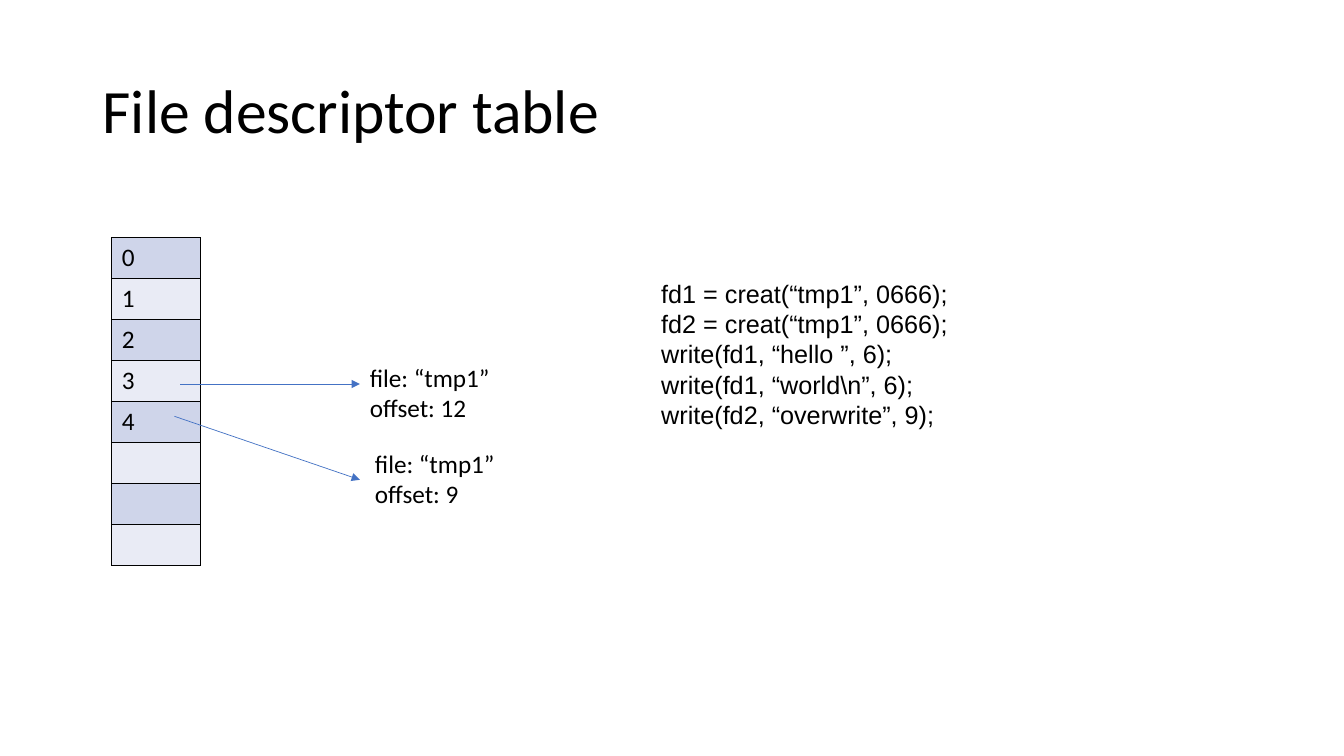
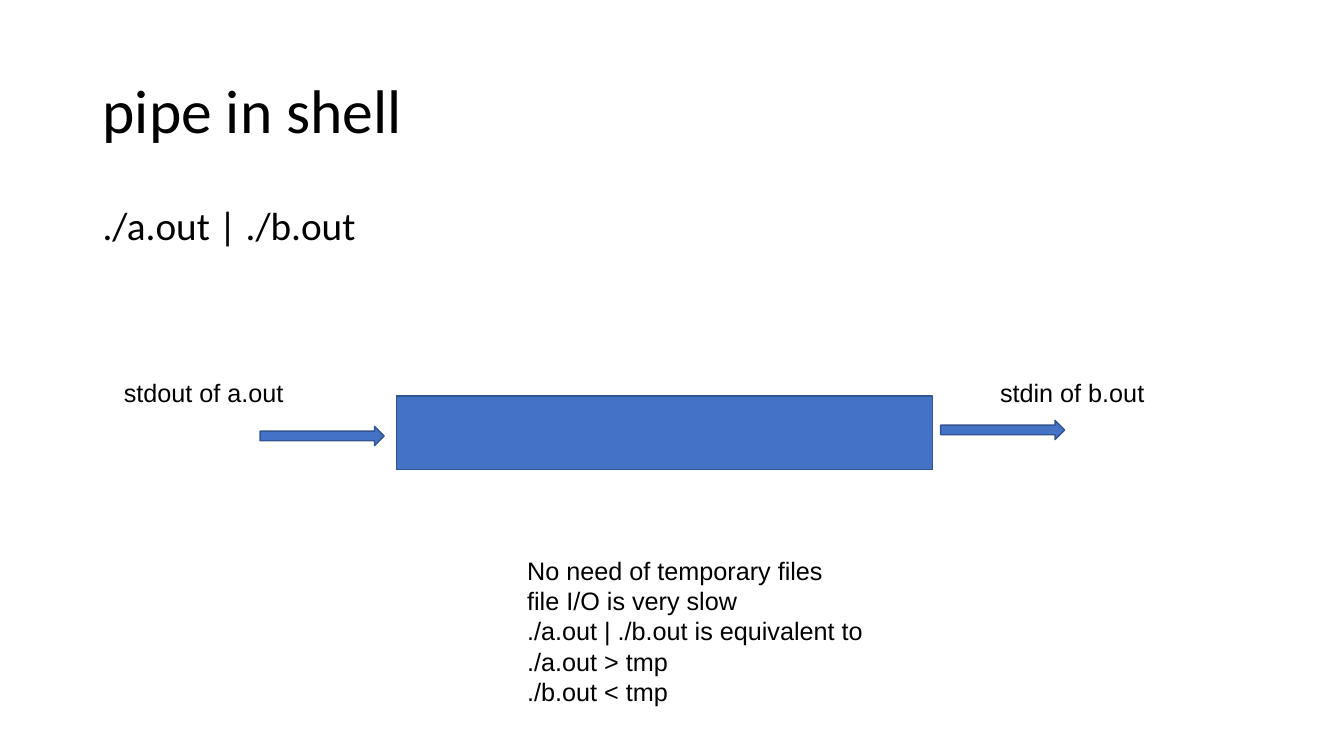
from lxml.etree import SubElement
from pptx import Presentation
from pptx.dml.color import RGBColor
from pptx.enum.shapes import MSO_CONNECTOR as Connector, MSO_SHAPE as Shape
from pptx.enum.text import MSO_ANCHOR as Anchor
from pptx.oxml.ns import qn
from pptx.util import Inches, Pt

BLACK, BLUE, DARK_BLUE = "000000", "4472C4", "325491"
BANDS = ("CFD5EA", "E9EBF5")
BODY_FONT, LABEL_FONT = "Calibri", "Arial"


def color(hex_value):
    return RGBColor.from_string(hex_value)


def add_run(paragraph, text, font=LABEL_FONT, size=18):
    run = paragraph.add_run()
    run.text = text
    run.font.name = font
    run.font.size = Pt(size)
    run.font.color.rgb = color(BLACK)


def add_text(slide, box, lines, font=LABEL_FONT, size=18, anchor=Anchor.TOP, spacing=None):
    frame = slide.shapes.add_textbox(*map(Inches, box)).text_frame
    frame.word_wrap = True
    frame.vertical_anchor = anchor
    for index, line in enumerate(lines):
        paragraph = frame.add_paragraph() if index else frame.paragraphs[0]
        paragraph.line_spacing = spacing
        add_run(paragraph, line, font, size)


def add_titled_slide(presentation, title):
    slide = presentation.slides.add_slide(presentation.slide_layouts[6])
    add_text(slide, (0.92, 0.4, 11.5, 1.45), [title], BODY_FONT, 44, Anchor.MIDDLE, 0.9)
    return slide


def add_cell_borders(cell):
    properties = cell._tc.get_or_add_tcPr()
    for side in ("a:lnL", "a:lnR", "a:lnT", "a:lnB"):
        border = SubElement(properties, qn(side), w=str(Pt(1)))
        fill = SubElement(border, qn("a:solidFill"))
        SubElement(fill, qn("a:srgbClr"), val=BLACK)


def add_descriptor_table(slide, box, entries):
    table = slide.shapes.add_table(len(entries), 1, *map(Inches, box)).table
    table.first_row = False
    table.horz_banding = False
    for index, entry in enumerate(entries):
        cell = table.cell(index, 0)
        add_cell_borders(cell)
        cell.fill.solid()
        cell.fill.fore_color.rgb = color(BANDS[index % 2])
        if entry:
            add_run(cell.text_frame.paragraphs[0], entry, BODY_FONT)


def add_pointer(slide, start, end):
    connector = slide.shapes.add_connector(Connector.STRAIGHT, *map(Inches, start + end))
    connector.line.color.rgb = color(BLUE)
    connector.line.width = Pt(0.5)
    SubElement(connector.line._get_or_add_ln(), qn("a:tailEnd"), type="triangle")
    SubElement(connector._element.spPr, qn("a:effectLst"))


def add_block(slide, kind, box):
    shape = slide.shapes.add_shape(kind, *map(Inches, box))
    shape.shadow.inherit = False
    shape.fill.solid()
    shape.fill.fore_color.rgb = color(BLUE)
    shape.line.color.rgb = color(DARK_BLUE)
    shape.line.width = Pt(1)


def add_pipe(slide, box):
    left, top, width, height = box
    add_block(slide, Shape.RECTANGLE, box)
    arrow_width, arrow_height = 1.23, 0.19
    add_block(slide, Shape.RIGHT_ARROW, (left - 1.35, top + 0.3, arrow_width, arrow_height))
    add_block(slide, Shape.RIGHT_ARROW, (left + width + 0.08, top + 0.24, arrow_width, arrow_height))
    label_top, label_width, label_height = top - 0.24, 2.38, 0.4
    add_text(slide, (left - 2.8, label_top, label_width, label_height), ["stdout of a.out"])
    add_text(slide, (left + width + 0.57, label_top, label_width, label_height), ["stdin of b.out"])


def build_descriptor_slide(presentation):
    slide = add_titled_slide(presentation, "File descriptor table")
    add_descriptor_table(slide, (1.11, 2.36, 0.88, 3.25), ["0", "1", "2", "3", "4", "", "", ""])
    add_text(slide, (6.46, 2.71, 3.67, 1.92), [
        "fd1 = creat(“tmp1”, 0666);",
        "fd2 = creat(“tmp1”, 0666);",
        "write(fd1, “hello ”, 6);",
        "write(fd1, “world\\n”, 6);",
        "write(fd2, “overwrite”, 9);",
    ])
    open_files = [
        ((1.79, 3.81), (3.57, 3.81), (3.57, 3.54), "offset: 12"),
        ((1.73, 4.13), (3.57, 4.76), (3.62, 4.4), "offset: 9"),
    ]
    for start, end, corner, offset in open_files:
        add_pointer(slide, start, end)
        add_text(slide, corner + (1.89, 0.71), ["file: “tmp1”", offset], BODY_FONT)


def build_pipe_slide(presentation):
    slide = add_titled_slide(presentation, "pipe in shell")
    add_text(slide, (0.92, 2, 11.5, 4.76), ["./a.out | ./b.out"], BODY_FONT, 28, spacing=0.9)
    add_pipe(slide, (3.93, 3.93, 5.32, 0.73))
    add_text(slide, (5.13, 5.46, 4.12, 1.62), [
        "No need of temporary files",
        "file I/O is very slow",
        "./a.out | ./b.out is equivalent to",
        "./a.out > tmp",
        "./b.out < tmp",
    ])


def main():
    presentation = Presentation()
    presentation.slide_width = Inches(13.33)
    presentation.slide_height = Inches(7.5)
    build_descriptor_slide(presentation)
    build_pipe_slide(presentation)
    presentation.save("out.pptx")


if __name__ == "__main__":
    main()
